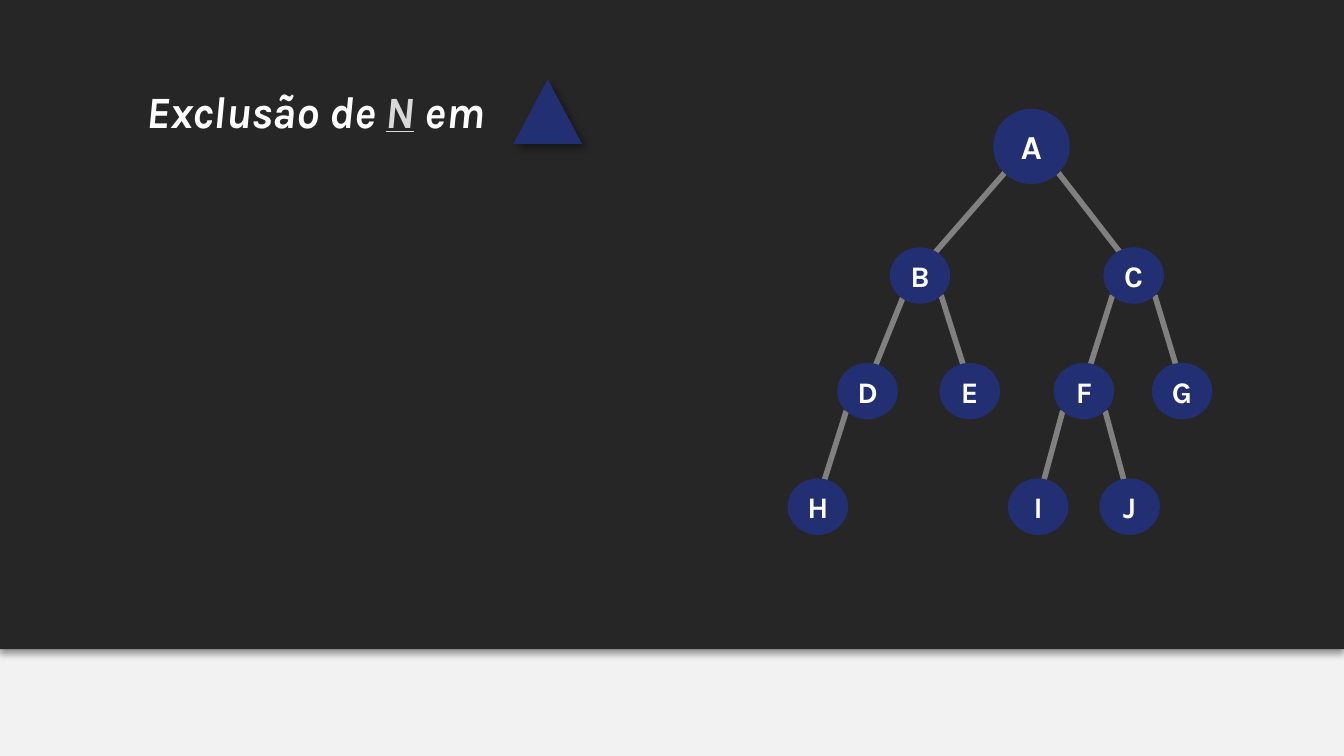
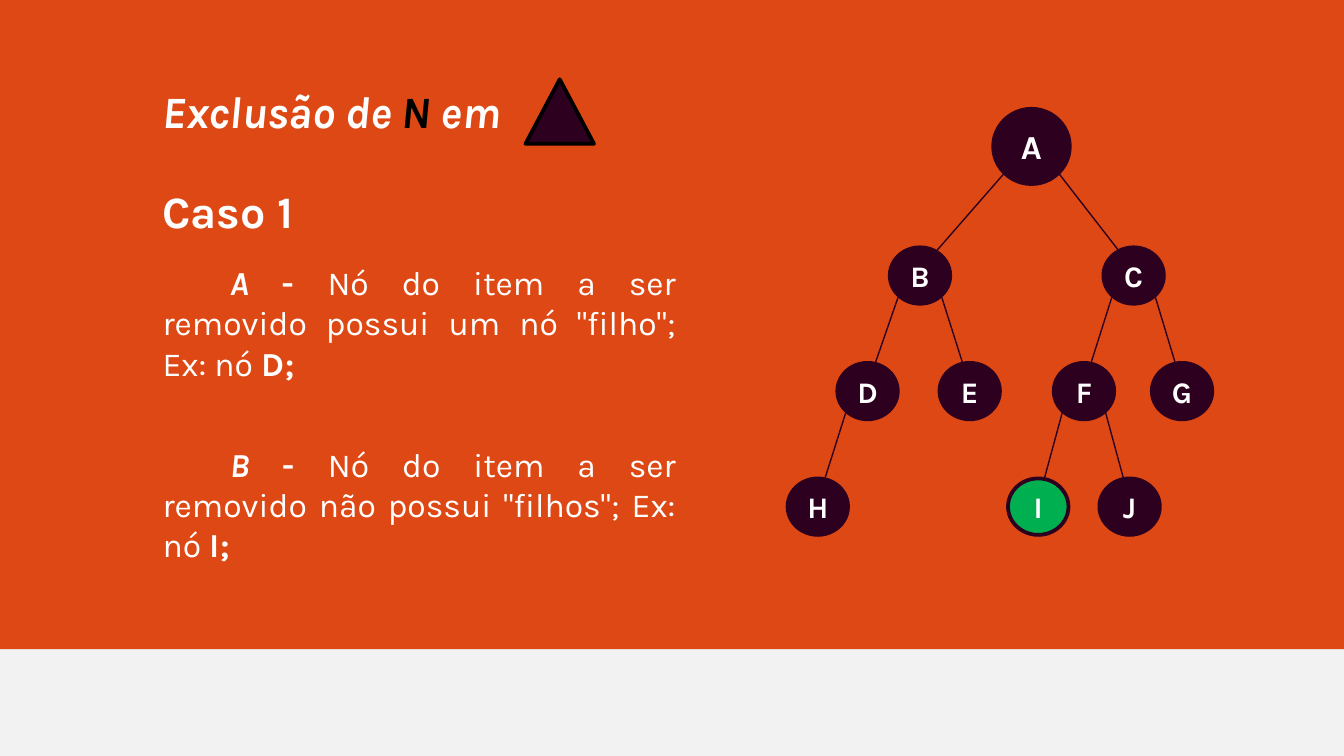
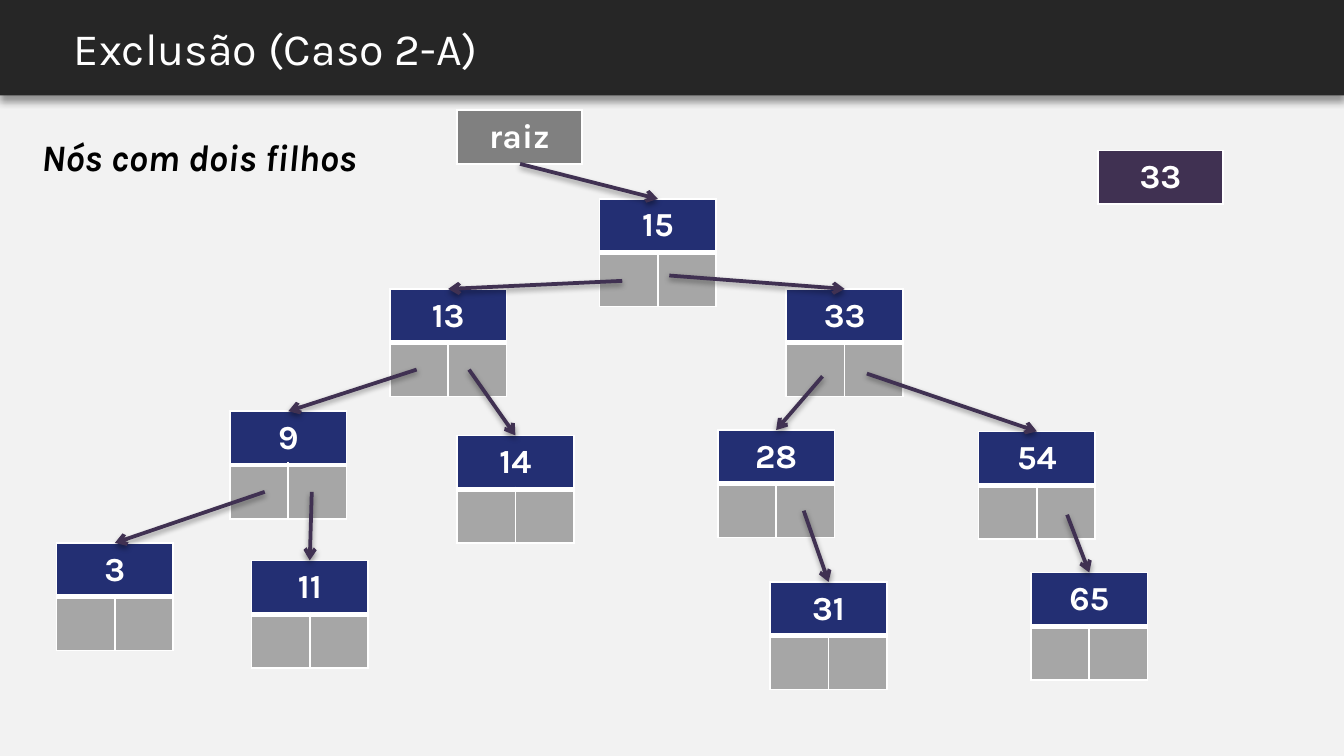
"""Three slides on deleting nodes from a binary search tree."""
import lxml.etree
import pptx
import pptx.dml.color
import pptx.enum.shapes
import pptx.enum.text
import pptx.oxml.ns
import pptx.util

hue = pptx.dml.color.RGBColor.from_string
qn = pptx.oxml.ns.qn
add_xml = lxml.etree.SubElement
Pt = pptx.util.Pt
Shape = pptx.enum.shapes.MSO_SHAPE
STRAIGHT = pptx.enum.shapes.MSO_CONNECTOR.STRAIGHT
Align = pptx.enum.text.PP_ALIGN
MIDDLE = pptx.enum.text.MSO_ANCHOR.MIDDLE

FONT = "Karla"
WHITE, BLACK, PAPER, DARK = "FFFFFF", "000000", "F2F2F2", "262626"
NAVY, ORANGE, PLUM, GREEN = "232F73", "DD4814", "2C001E", "00B050"
GRAY, SILVER, PURPLE = "808080", "A6A6A6", "403152"
BAND_SHADOW = (40, 4, 3, 90)
ICON_SHADOW = (40, 4, 3, 45)
ARROW_SHADOW = (38, 3.1, 1.6, 90)

deck = pptx.Presentation()
deck.slide_width = pptx.util.Inches(10)
deck.slide_height = deck.slide_width * 9 // 16
column = row = deck.slide_width // 100
deck.slide_master.background.fill.solid()
deck.slide_master.background.fill.fore_color.rgb = hue(PAPER)


def grid(*spans):
    """Turn alternating columns and rows into slide lengths."""
    return [round(span * (row if index % 2 else column)) for index, span in enumerate(spans)]


def write(para, text, size=18, color=WHITE, bold=True, **style):
    """Add a formatted span of text to a paragraph."""
    span = para.add_run()
    span.text = text
    span.font.name, span.font.size, span.font.bold = FONT, Pt(size), bold
    span.font.color.rgb = hue(color)
    for name, value in style.items():
        setattr(span.font, name, value)


heading = {"size": 24, "italic": True}
sheets = [
    (5, DARK, (0, 0, 100, 48.3), BAND_SHADOW, (9.9, 4.7, 30.1, 7.1),
     [("Exclusão de ", heading), ("N", heading | {"color": "D9D9D9", "underline": True}),
      (" em", heading)]),
    (3, ORANGE, (0, 0, 100, 48.3), None, (11.1, 4.7, 36.7, 7.1),
     [("Exclusão de ", heading), ("N", heading | {"color": BLACK}), (" em", heading)]),
    (5, DARK, (0, -0.5, 100, 7.6), BAND_SHADOW, (4.5, 0, 90.5, 7.1),
     [("Exclusão (Caso 2-A)", {"size": 24, "bold": False})]),
]
pages, blocks, effects = [], [], []
for layout, color, region, shadow, title_region, spans in sheets:
    page = deck.slides.add_slide(deck.slide_layouts[layout])
    band = page.shapes.add_shape(Shape.RECTANGLE, *grid(*region))
    band.fill.solid()
    band.fill.fore_color.rgb = hue(color)
    band.line.fill.background()
    page.shapes.element.insert(2, band.element)
    effects.append((band, shadow))
    blocks.append((page.shapes.title, title_region, Align.LEFT, spans))
    pages.append(page)
plain_page, case_page, nodes_page = pages

cases = [
    (1, 19, "A", "Nó do item a ser removido possui um nó \"filho\"; Ex: nó ", "D;"),
    (2, 32.5, "B", "Nó do item a ser removido não possui \"filhos\"; Ex: nó ", "I;"),
]
for holder, top, letter, sentence, example in cases:
    blocks.append((case_page.placeholders[holder], (11.1, top, 40.2, 10), Align.JUSTIFY,
                   [(f"\t{letter} ", {"italic": True}), ("- ", {}),
                    (sentence, {"bold": False}), (example, {})]))
labels = [
    (case_page, (11.1, 12.1, 33.2, 7.1), "Caso 1", {"size": 24}),
    (nodes_page, (2.1, 8.1, 30, 7.1), "Nós com dois filhos",
     {"size": 20, "color": BLACK, "italic": True}),
]
for page, region, text, style in labels:
    box = page.shapes.add_textbox(*grid(*region))
    blocks.append((box, region, Align.LEFT, [(text, style)]))

for box, region, align, spans in blocks:
    box.left, box.top, box.width, box.height = grid(*region)
    frame = box.text_frame
    frame.word_wrap = True
    frame.auto_size = pptx.enum.text.MSO_AUTO_SIZE.NONE
    frame.vertical_anchor = MIDDLE
    frame.margin_left = frame.margin_right = column
    frame.margin_top = frame.margin_bottom = row
    para = frame.paragraphs[0]
    para.alignment = align
    para.space_before = Pt(0)
    properties = para._p.get_or_add_pPr()
    properties.set("marL", "0")
    properties.set("indent", "0")
    add_xml(properties, qn("a:buNone"))
    for text, style in spans:
        write(para, text, **style)

tree = {
    "A": (73.9, 8.1, 5.7, 5.6),
    "B": (66.2, 18.4, 4.5, 4.2), "C": (82.1, 18.4, 4.5, 4.2),
    "D": (62.3, 27, 4.5, 4.2), "E": (69.9, 27, 4.5, 4.2),
    "F": (78.4, 27, 4.5, 4.2), "G": (85.7, 27, 4.5, 4.2),
    "H": (58.6, 35.6, 4.5, 4.2), "I": (75, 35.6, 4.5, 4.2), "J": (81.8, 35.6, 4.5, 4.2),
}
branches = ["AB", "AC", "BD", "BE", "CF", "CG", "DH", "FI", "FJ"]
trees = [
    (plain_page, NAVY, None, GRAY, 3, 38.2, ICON_SHADOW, {}, {"BD": (67.8, 20.6)}),
    (case_page, PLUM, PLUM, PLUM, 0.75, 39.1, None, {"I": GREEN}, {}),
]
for page, color, outline, ink, weight, icon_left, shadow, marked, starts in trees:
    group = page.shapes.add_group_shape()
    for branch in branches:
        parent, child = (tree[letter] for letter in branch)
        center = parent[0] + parent[2] / 2
        child_center = child[0] + child[2] / 2
        side = 0.35 if child_center > center else -0.35
        start = (center + side * parent[2], parent[1] + 0.85 * parent[3])
        start = starts.get(branch, start)
        end = (child_center, child[1] + 0.4 * child[3])
        edge = group.shapes.add_connector(STRAIGHT, *grid(*start, *end))
        edge.line.color.rgb = hue(ink)
        edge.line.width = Pt(weight)
        effects.append((edge, None))

    icon = page.shapes.add_shape(Shape.ISOSCELES_TRIANGLE, *grid(icon_left, 5.9, 5.1, 4.8))
    effects.append((icon, shadow))
    drawn = [(icon, color, outline and BLACK)]
    for letter, region in tree.items():
        node = group.shapes.add_shape(Shape.OVAL, *grid(*region))
        frame = node.text_frame
        frame.word_wrap = False
        frame.vertical_anchor = MIDDLE
        frame.margin_left = frame.margin_right = 0
        frame.margin_top = frame.margin_bottom = 0
        frame.paragraphs[0].alignment = Align.CENTER
        write(frame.paragraphs[0], letter, size=18 if letter == "A" else 16)
        effects.append((node, None))
        drawn.append((node, marked.get(letter, color), outline))
    for shape, fill, border in drawn:
        shape.fill.solid()
        shape.fill.fore_color.rgb = hue(fill)
        if border:
            shape.line.color.rgb = hue(border)
            shape.line.width = Pt(2)
        else:
            shape.line.fill.background()

records = [
    ("15", 44.6, 14.8, NAVY, (38.7, 12.2)),
    ("13", 29, 21.5, NAVY, (46.3, 20.9)),
    ("33", 58.5, 21.5, NAVY, (49.8, 20.5)),
    ("9", 17.1, 30.6, NAVY, (31, 27.5)),
    ("14", 34, 32.4, NAVY, (34.9, 27.5)),
    ("28", 53.4, 32, NAVY, (61.2, 28)),
    ("54", 72.8, 32.1, NAVY, (64.5, 27.8)),
    ("3", 4.2, 40.4, NAVY, (19.7, 36.6)),
    ("11", 18.7, 41.7, NAVY, (23.2, 36.6)),
    ("31", 57.3, 43.3, NAVY, (59.8, 38)),
    ("65", 76.7, 42.6, NAVY, (79.4, 38.3)),
    ("raiz", 34, 8.2, GRAY, None),
    ("33", 81.7, 11.2, PURPLE, None),
]
for text, left, top, color, start in records:
    count, width = (2, 8.7) if start else (1, 9.3)
    table = nodes_page.shapes.add_table(count, count, *grid(left, top, width, 4 * count)).table
    table.first_row = table.horz_banding = False
    if start:
        table.cell(0, 0).merge(table.cell(0, 1))
    for index, cell in enumerate(table.iter_cells()):
        head = index < count
        cell.margin_top = cell.margin_bottom = 0
        cell.vertical_anchor = MIDDLE
        for side in "LRTB" if start else "":
            weight = 3 if (side == "B" and head) or (side == "T" and not head) else 1
            border = add_xml(cell._tc.get_or_add_tcPr(), qn(f"a:ln{side}"), w=str(Pt(weight)))
            add_xml(add_xml(border, qn("a:solidFill")), qn("a:srgbClr"), val=WHITE)
        cell.fill.solid()
        cell.fill.fore_color.rgb = hue(color if head else SILVER)
    para = table.cell(0, 0).text_frame.paragraphs[0]
    para.alignment = Align.CENTER
    write(para, text)

for text, left, top, color, start in records:
    if start:
        arrow = nodes_page.shapes.add_connector(STRAIGHT, *grid(*start, left + 4.35, top))
        arrow.line.color.rgb = hue(PURPLE)
        arrow.line.width = Pt(2)
        add_xml(arrow.line._get_or_add_ln(), qn("a:tailEnd"), type="arrow")
        effects.append((arrow, ARROW_SHADOW))

for shape, shadow in effects:
    effect = add_xml(shape.element.spPr, qn("a:effectLst"))
    if shadow:
        alpha, blur, distance, angle = shadow
        cast = add_xml(effect, qn("a:outerShdw"), blurRad=str(Pt(blur)), dist=str(Pt(distance)),
                       dir=str(angle * 60000), rotWithShape="0")
        tone = add_xml(cast, qn("a:srgbClr"), val=BLACK)
        add_xml(tone, qn("a:alpha"), val=str(alpha * 1000))

deck.save("out.pptx")
